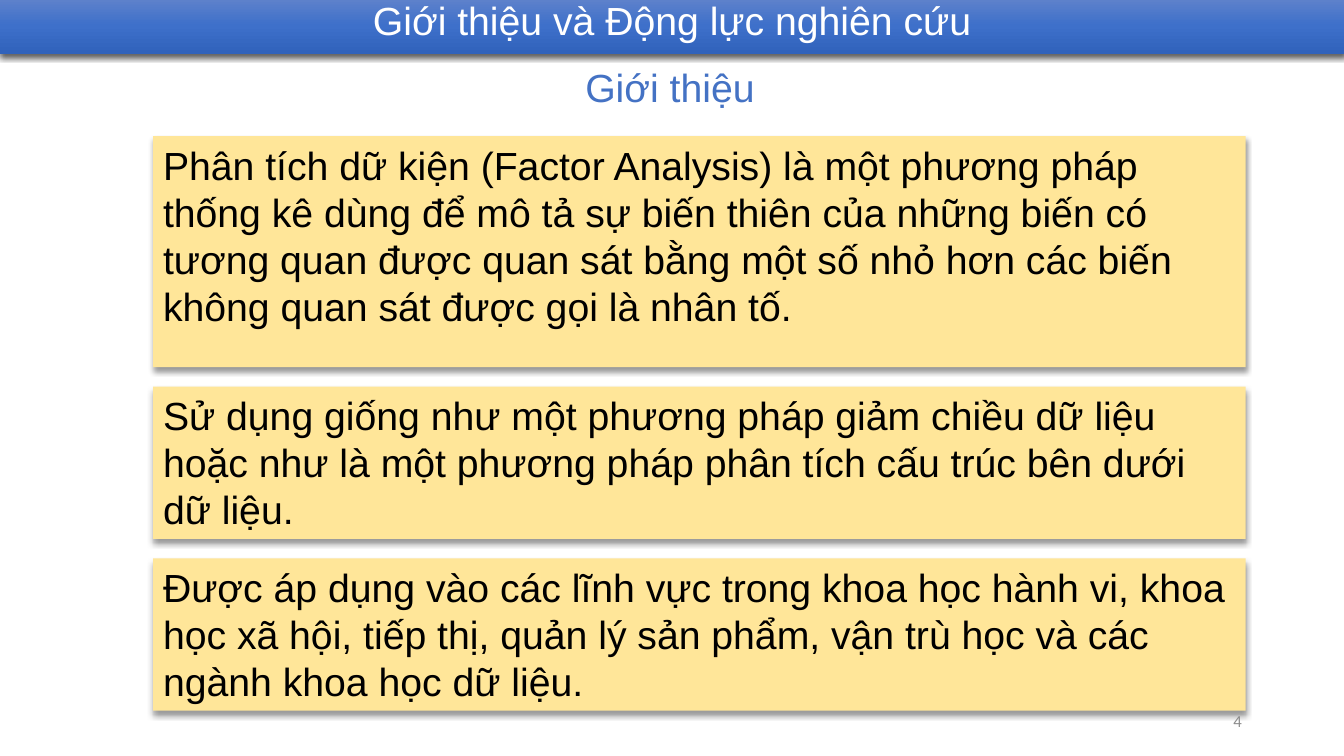
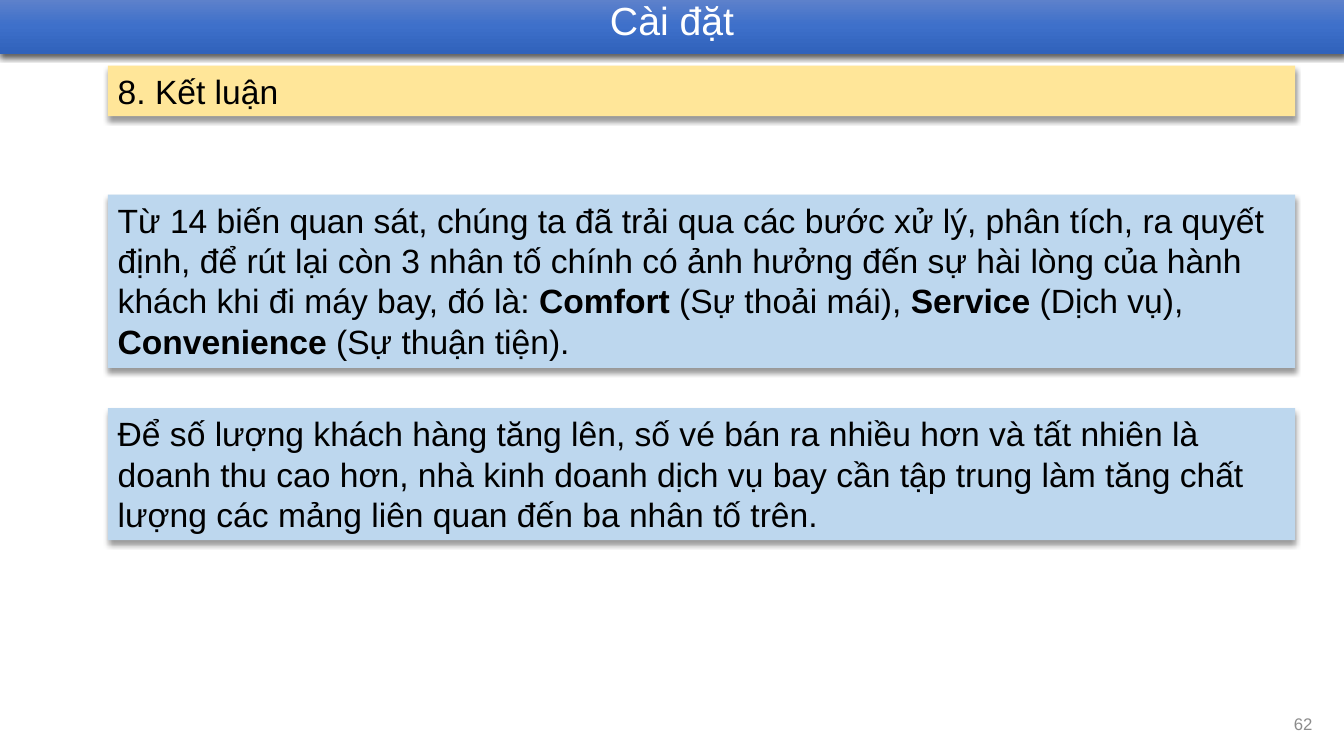
from dataclasses import dataclass

from lxml.etree import SubElement
from pptx import Presentation
from pptx.dml.color import RGBColor
from pptx.enum.shapes import MSO_SHAPE
from pptx.enum.text import MSO_ANCHOR, PP_ALIGN
from pptx.oxml.ns import qn
from pptx.util import Pt


@dataclass(frozen=True)
class Theme:
    font: str = "Arial"
    white: str = "FFFFFF"
    black: str = "000000"
    accent: str = "4472C4"
    muted: str = "8C8C8C"
    yellow: str = "FFE699"
    blue: str = "BDD7EE"
    band_stops: tuple = ((0, "6183CB"), (50, "3E70CA"), (100, "3062BB"))
    title_size: int = 28
    body_size: int = 24
    number_size: int = 12


@dataclass(frozen=True)
class Shadow:
    opacity: int
    blur: float
    distance: float


THEME = Theme()
BAND_SHADOW = Shadow(opacity=63, blur=4.5, distance=1.5)
CARD_SHADOW = Shadow(opacity=40, blur=4, distance=3)
SLIDE_WIDTH, SLIDE_HEIGHT = 960, 540
BAND_BOX = (0, -2.2, SLIDE_WIDTH, 40.6)

# Each stack holds cards of (height, text); ** surrounds bold words.
SLIDES = [
    {
        "title": "Giới thiệu và Động lực nghiên cứu",
        "subtitle": ("Giới thiệu", (411, 41.8, 137.5, 41)),
        "number": ("4", (678.2, 500.4, 216, 28.8), "Calibri"),
        "stacks": [
            {
                "left": 109.4, "top": 97.2, "width": 780.5, "gap": 14,
                "fill": THEME.yellow, "size": THEME.title_size,
                "cards": [
                    (165, "Phân tích dữ kiện (Factor Analysis) là một phương pháp thống kê "
                          "dùng để mô tả sự biến thiên của những biến có tương quan được quan "
                          "sát bằng một số nhỏ hơn các biến không quan sát được gọi là nhân tố."),
                    (108.7, "Sử dụng giống như một phương pháp giảm chiều dữ liệu hoặc như là "
                            "một phương pháp phân tích cấu trúc bên dưới dữ liệu."),
                    (108.7, "Được áp dụng vào các lĩnh vực trong khoa học hành vi, khoa học xã "
                            "hội, tiếp thị, quản lý sản phẩm, vận trù học và các ngành khoa học "
                            "dữ liệu."),
                ],
            },
        ],
    },
    {
        "title": "Cài đặt",
        "subtitle": None,
        "number": ("62", (728.6, 502.6, 216, 28.8), THEME.font),
        "stacks": [
            {
                "left": 77, "top": 46.8, "width": 848.2, "gap": 0,
                "fill": THEME.yellow, "size": THEME.body_size,
                "cards": [(36.2, "8. Kết luận")],
            },
            {
                "left": 77, "top": 139, "width": 848.2, "gap": 28.8,
                "fill": THEME.blue, "size": THEME.body_size,
                "cards": [
                    (123.8, "Từ 14 biến quan sát, chúng ta đã trải qua các bước xử lý, phân "
                            "tích, ra quyết định, để rút lại còn 3 nhân tố chính có ảnh hưởng "
                            "đến sự hài lòng của hành khách khi đi máy bay, đó là: "
                            "**Comfort** (Sự thoải mái), **Service** (Dịch vụ), "
                            "**Convenience** (Sự thuận tiện)."),
                    (94.3, "Để số lượng khách hàng tăng lên, số vé bán ra nhiều hơn và tất nhiên "
                           "là doanh thu cao hơn, nhà kinh doanh dịch vụ bay cần tập trung làm "
                           "tăng chất lượng các mảng liên quan đến ba nhân tố trên."),
                ],
            },
        ],
    },
]


def write_text(shape, text, size, color, align=PP_ALIGN.LEFT, anchor=MSO_ANCHOR.TOP,
               font=THEME.font):
    """Write one paragraph, with the words between ** in bold."""
    frame = shape.text_frame
    frame.word_wrap = True
    frame.vertical_anchor = anchor
    paragraph = frame.paragraphs[0]
    paragraph.alignment = align
    paragraph.font.name = font
    paragraph.font.size = Pt(size)
    paragraph.font.color.rgb = RGBColor.from_string(color)
    for index, part in enumerate(text.split("**")):
        run = paragraph.add_run()
        run.text = part
        if index % 2:
            run.font.bold = True
    return paragraph


def add_text(slide, box, *text_arguments, **text_options):
    shape = slide.shapes.add_textbox(*map(Pt, box))
    write_text(shape, *text_arguments, **text_options)


def add_shadowed_rectangle(slide, box, shadow):
    shape = slide.shapes.add_shape(MSO_SHAPE.RECTANGLE, *map(Pt, box))
    shape.line.fill.background()
    shape.shadow.inherit = False
    effects = shape.element.spPr.find(qn("a:effectLst"))
    outer = SubElement(effects, qn("a:outerShdw"), blurRad=str(Pt(shadow.blur)),
                       dist=str(Pt(shadow.distance)), dir="5400000", rotWithShape="0")
    color = SubElement(outer, qn("a:srgbClr"), val=THEME.black)
    SubElement(color, qn("a:alpha"), val=str(shadow.opacity * 1000))
    return shape


def fill_gradient(shape, stops):
    """Fill from top to bottom with any number of (percent, colour) stops."""
    shape.fill.gradient()
    shape.fill.gradient_angle = 270
    stop_list = shape.element.spPr.find(qn("a:gradFill")).find(qn("a:gsLst"))
    stop_list.clear()
    for percent, color in stops:
        stop = SubElement(stop_list, qn("a:gs"), pos=str(percent * 1000))
        SubElement(stop, qn("a:srgbClr"), val=color)


def add_title_band(slide, title):
    band = add_shadowed_rectangle(slide, BAND_BOX, BAND_SHADOW)
    fill_gradient(band, THEME.band_stops)
    paragraph = write_text(band, title, THEME.title_size, THEME.white, PP_ALIGN.CENTER)
    paragraph.line_spacing = 0.9
    paragraph.space_before = Pt(10)


def add_card_stack(slide, stack):
    top = stack["top"]
    for height, text in stack["cards"]:
        card = add_shadowed_rectangle(slide, (stack["left"], top, stack["width"], height),
                                      CARD_SHADOW)
        card.fill.solid()
        card.fill.fore_color.rgb = RGBColor.from_string(stack["fill"])
        write_text(card, text, stack["size"], THEME.black)
        top += height + stack["gap"]


def build_slide(presentation, content):
    slide = presentation.slides.add_slide(presentation.slide_layouts[6])
    add_title_band(slide, content["title"])
    if content["subtitle"]:
        subtitle, box = content["subtitle"]
        add_text(slide, box, subtitle, THEME.title_size, THEME.accent)
    for stack in content["stacks"]:
        add_card_stack(slide, stack)
    number, box, font = content["number"]
    add_text(slide, box, number, THEME.number_size, THEME.muted, align=PP_ALIGN.RIGHT,
             anchor=MSO_ANCHOR.MIDDLE, font=font)


def main():
    presentation = Presentation()
    presentation.slide_width = Pt(SLIDE_WIDTH)
    presentation.slide_height = Pt(SLIDE_HEIGHT)
    for content in SLIDES:
        build_slide(presentation, content)
    presentation.save("out.pptx")


if __name__ == "__main__":
    main()
